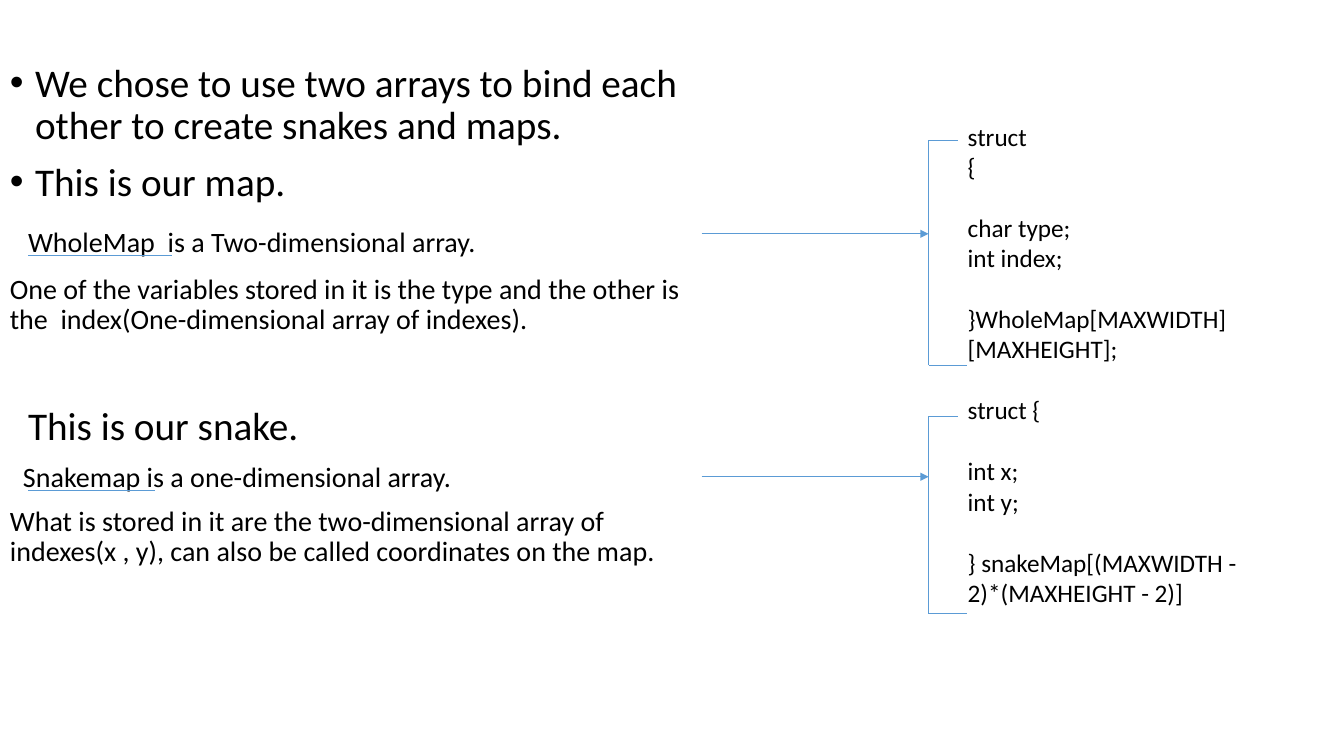
from lxml import etree
from pptx import Presentation
from pptx.dml.color import RGBColor
from pptx.enum.shapes import MSO_CONNECTOR
from pptx.oxml.ns import qn
from pptx.util import Inches, Pt

LINE = MSO_CONNECTOR.STRAIGHT
FONT = "Calibri"
HUES = {"text": "000000", "line": "5B9BD5"}

# text, size, space before, left indent, bullet
NOTES = [
    ("We chose to use two arrays to bind each other to create snakes and maps.", 28, 10, 0.25, True),
    ("This is our map.", 28, 10, 0.25, True),
    ("WholeMap  is a Two-dimensional array.", 20, 16.7, 0.18, False),
    ("One of the variables stored in it is the type and the other is "
     "the  index(One-dimensional array of indexes).", 20, 12.1, 0, False),
    ("This is our snake.", 28, 50.8, 0.18, False),
    ("Snakemap is a one-dimensional array.", 20, 10, 0.13, False),
    ("What is stored in it are the two-dimensional array of indexes(x , y), "
     "can also be called coordinates on the map.", 20, 10, 0, False),
]
CODE = [
    ["struct", "{"],
    ["char type;", "int index;"],
    ["}WholeMap[MAXWIDTH][MAXHEIGHT];"],
    ["struct {"],
    ["int x;", "int y;"],
    ["} snakeMap[(MAXWIDTH - 2)*(MAXHEIGHT - 2)]"],
]


def add_box(slide, box):
    frame = slide.shapes.add_textbox(*map(Inches, box)).text_frame
    frame.word_wrap = True
    return frame


def add_para(frame, first, text, size, gap):
    para = frame.paragraphs[0] if first else frame.add_paragraph()
    para.text = text
    para.space_before = Pt(gap)
    font = para.runs[0].font
    font.name, font.size = FONT, Pt(size)
    font.color.rgb = RGBColor.from_string(HUES["text"])
    return para


def add_notes(slide, box):
    frame = add_box(slide, box)
    for row, (text, size, gap, left, dot) in enumerate(NOTES):
        para = add_para(frame, row == 0, text, size, gap)
        para.line_spacing = 0.9
        props = para._p.get_or_add_pPr()
        props.set("marL", str(Inches(left)))
        if dot:
            props.set("indent", str(Inches(-left)))
            etree.SubElement(props, qn("a:buFont")).set("typeface", "Arial")
            etree.SubElement(props, qn("a:buChar")).set("char", "•")


def add_code(slide, box):
    frame = add_box(slide, box)
    for part, lines in enumerate(CODE):
        for row, text in enumerate(lines):
            gap = 22 if part and row == 0 else 0
            add_para(frame, part == row == 0, text, 18, gap)


def add_line(slide, start, end, arrow=False):
    line = slide.shapes.add_connector(LINE, *map(Inches, start + end))
    line.line.width = Pt(0.5)
    line.line.color.rgb = RGBColor.from_string(HUES["line"])
    if arrow:
        tip = etree.SubElement(line.line._get_or_add_ln(), qn("a:tailEnd"))
        tip.set("type", "triangle")
    etree.SubElement(line._element.spPr, qn("a:effectLst"))


def add_brace(slide, box, mid):
    left, top, width, height = box
    base = top + height
    add_line(slide, (left - 2.25, mid), (left, mid), True)
    add_line(slide, (left, top), (left, base))
    add_line(slide, (left, top), (left + 0.29, top))
    add_line(slide, (left, base), (left + width, base))


def add_rule(slide, left, top, width):
    add_line(slide, (left, top), (left + width, top))


def main():
    deck = Presentation()
    deck.slide_width, deck.slide_height = Inches(13.33), Inches(7.5)
    slide = deck.slides.add_slide(deck.slide_layouts[6])
    add_notes(slide, (0, 0.58, 6.86, 6.38))
    add_code(slide, (9.5, 1.15, 3.37, 4.95))
    add_brace(slide, (9.21, 1.39, 0.38, 2.23), 2.32)
    add_brace(slide, (9.21, 4.13, 0.38, 1.96), 4.73)
    add_rule(slide, 0.28, 2.53, 1.43)
    add_rule(slide, 0.28, 4.86, 1.26)
    deck.save("out.pptx")


if __name__ == "__main__":
    main()
